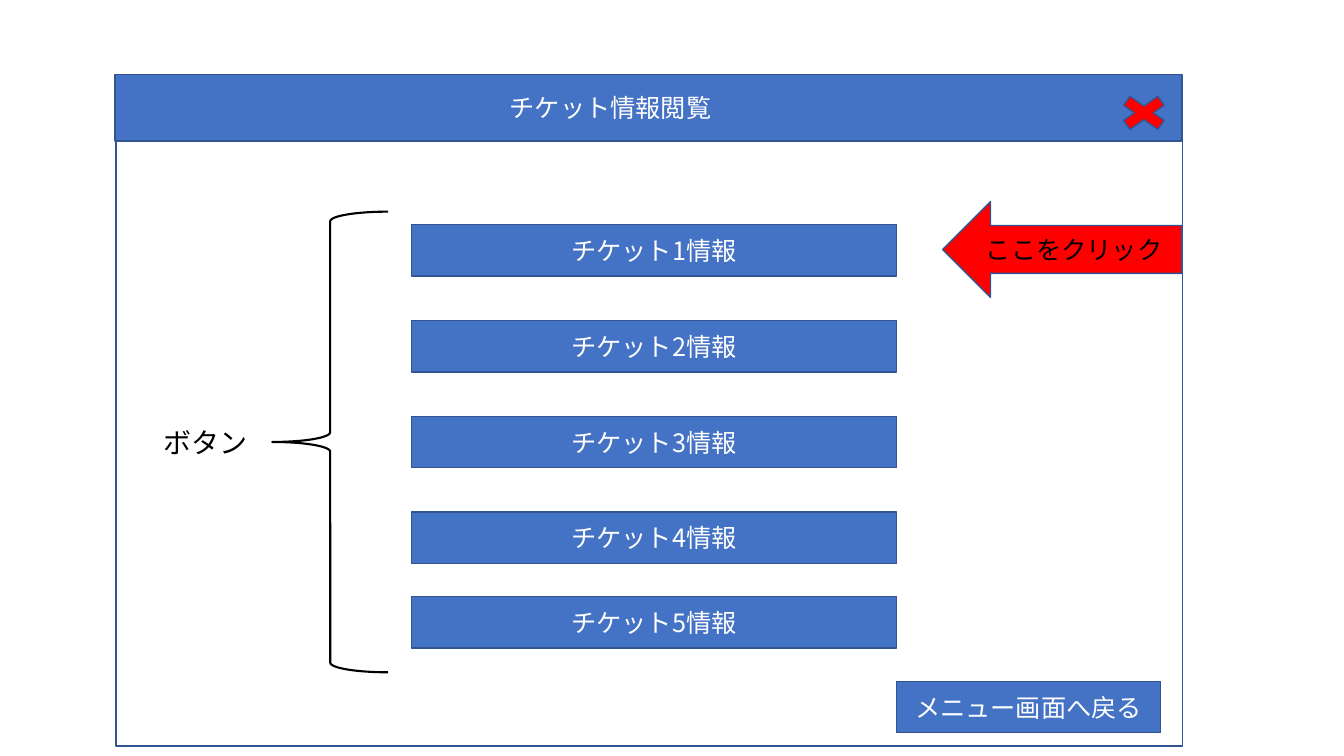
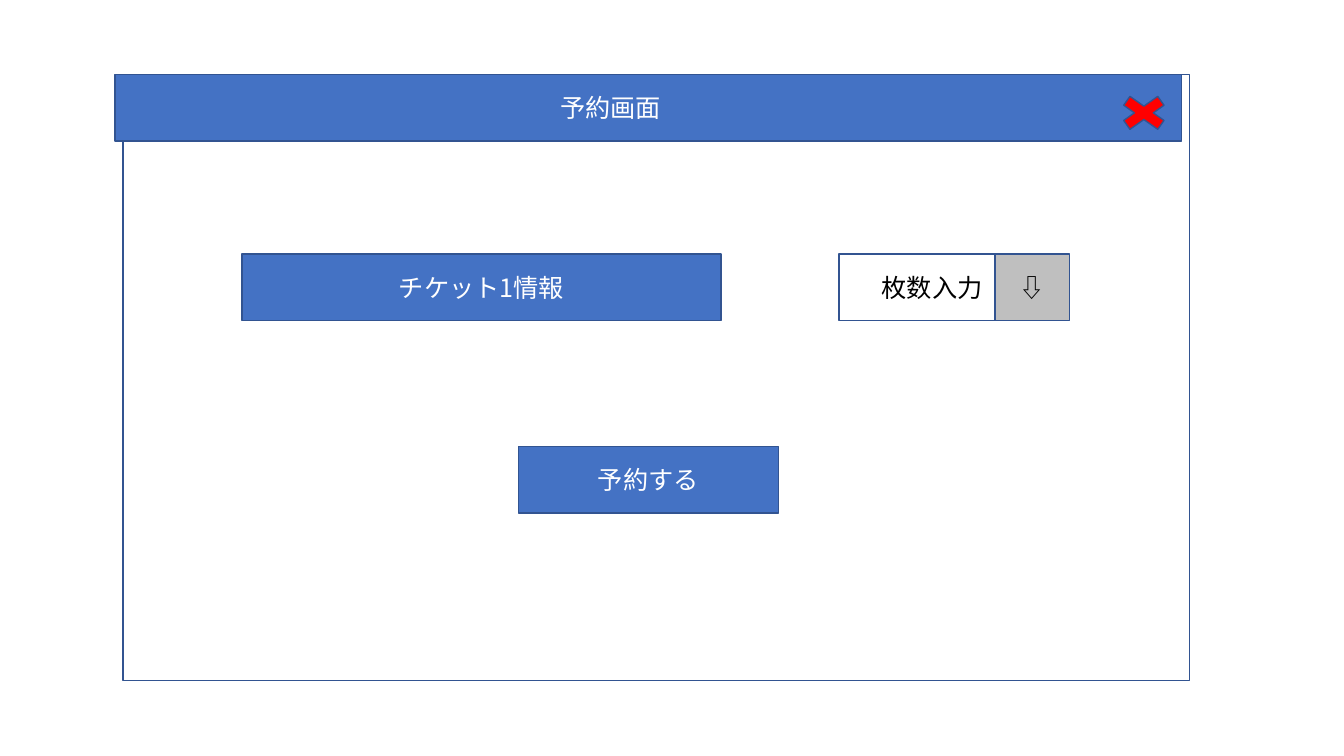
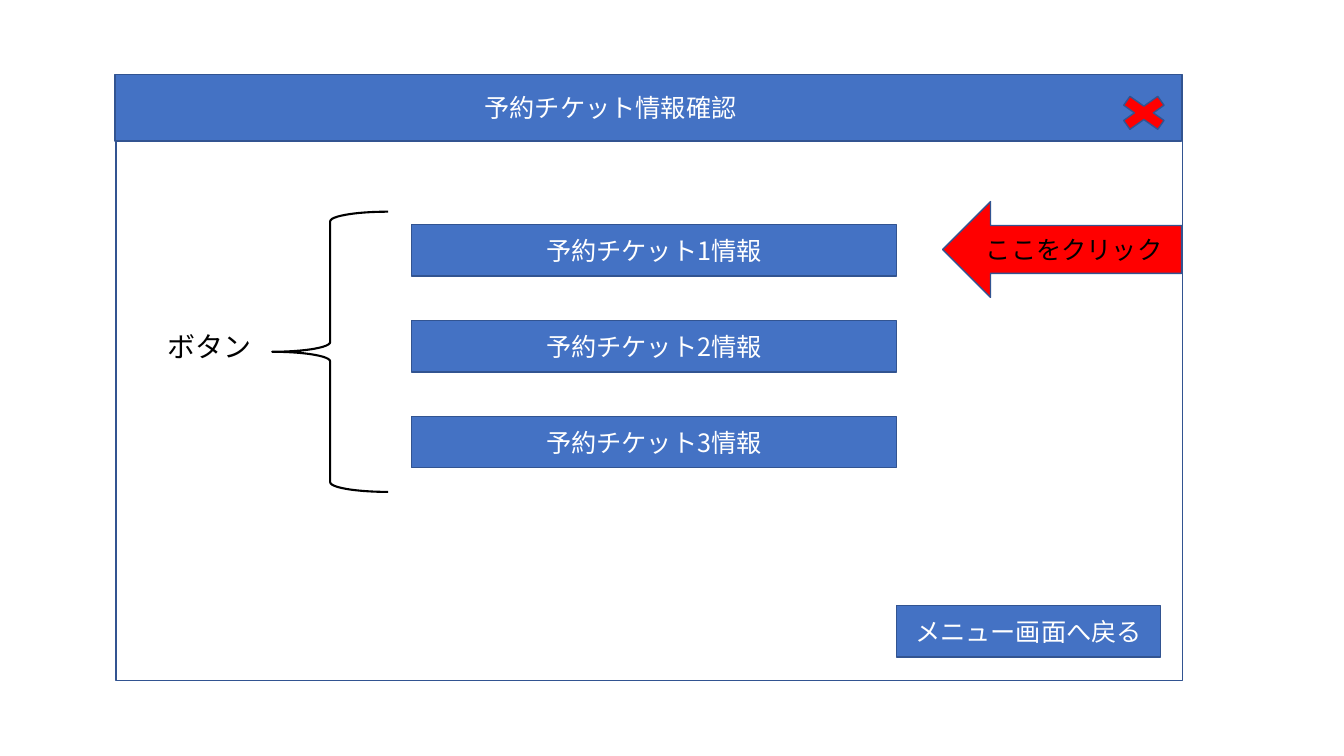
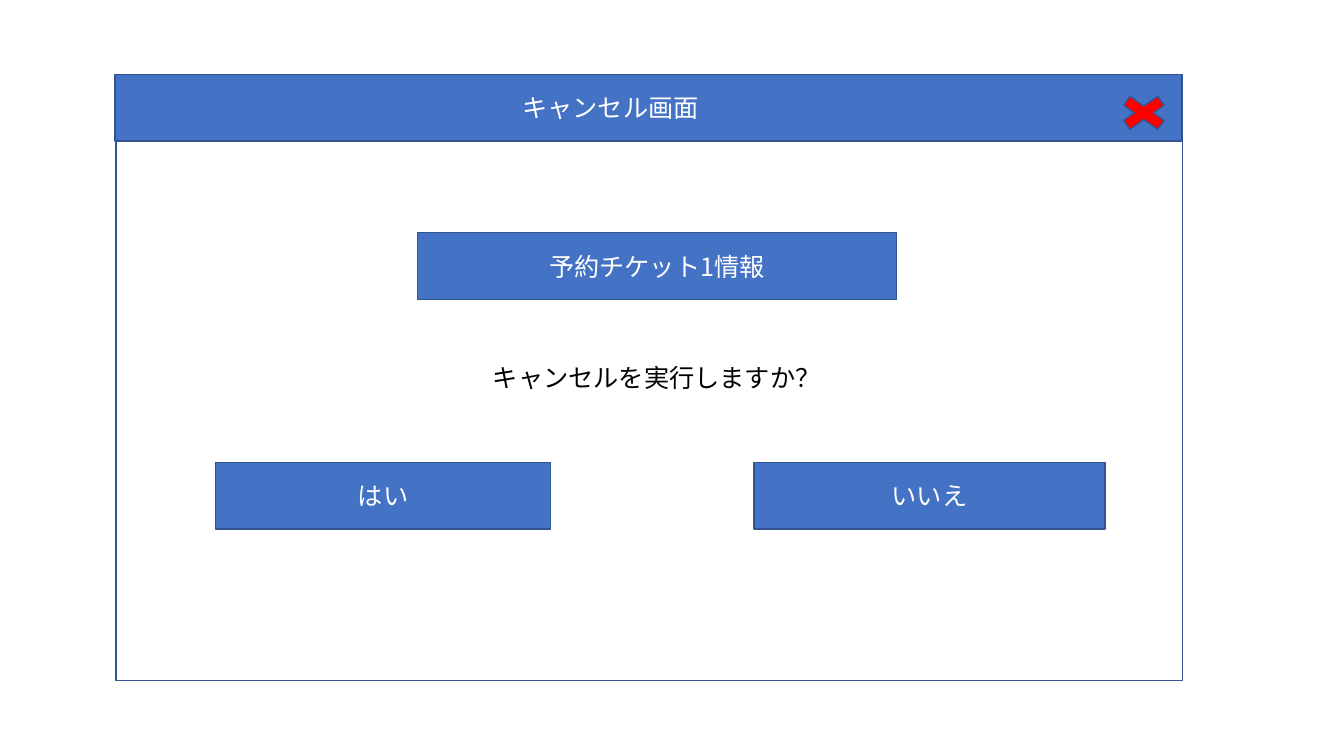
from dataclasses import dataclass
from typing import Optional

from lxml.etree import SubElement
from pptx import Presentation
from pptx.dml.color import RGBColor
from pptx.enum.shapes import MSO_SHAPE as Preset
from pptx.enum.text import MSO_ANCHOR as Anchor, MSO_AUTO_SIZE as AutoSize, PP_ALIGN as Align
from pptx.oxml.ns import qn
from pptx.slide import Slide
from pptx.text.text import TextFrame
from pptx.util import Inches, Pt

BLUE = RGBColor(0x44, 0x72, 0xC4)
NAVY = RGBColor(0x32, 0x54, 0x91)
RED = RGBColor(0xFF, 0x00, 0x00)
GRAY = RGBColor(0xBF, 0xBF, 0xBF)
WHITE = RGBColor(0xFF, 0xFF, 0xFF)
BLACK = RGBColor(0x00, 0x00, 0x00)
FONT = "Noto Sans CJK JP"

BUTTON_HEIGHT = 0.66
ROW_HEIGHT = 0.51
ROW_TOP = 2.23
ROW_PITCH = 0.95
BRACE_TOP = 2.1


@dataclass(frozen=True)
class Box:
    left: float
    top: float
    width: float
    height: float

    def lengths(self) -> tuple[Inches, ...]:
        return tuple(Inches(n) for n in (self.left, self.top, self.width, self.height))


@dataclass(frozen=True)
class Part:
    box: Box
    text: str = ""
    fill: Optional[RGBColor] = BLUE
    color: RGBColor = WHITE
    preset: Preset = Preset.RECTANGLE
    line: RGBColor = NAVY
    line_width: float = 1
    margin_right: float = 0.1


@dataclass(frozen=True)
class TicketList:
    title: str
    ticket: str
    row_tops: tuple[float, ...]
    frame_height: float
    brace_height: float
    caption: Box
    menu_top: float


def write(frame: TextFrame, text: str, color: RGBColor, size: float, align: Align) -> None:
    paragraph = frame.paragraphs[0]
    paragraph.alignment = align
    run = paragraph.add_run()
    run.text = text
    for name, value in {"name": FONT, "size": Pt(size)}.items():
        setattr(run.font, name, value)
    run.font.color.rgb = color
    SubElement(run.font._element, qn("a:ea"), typeface=FONT)


def draw(slide: Slide, part: Part) -> None:
    shape = slide.shapes.add_shape(part.preset, *part.box.lengths())
    shape.shadow.inherit = False
    if part.fill is None:
        shape.fill.background()
    else:
        shape.fill.solid()
        shape.fill.fore_color.rgb = part.fill
    shape.line.color.rgb = part.line
    shape.line.width = Pt(part.line_width)
    if part.text:
        layout = {
            "word_wrap": True,
            "vertical_anchor": Anchor.MIDDLE,
            "margin_right": Inches(part.margin_right),
        }
        for name, value in layout.items():
            setattr(shape.text_frame, name, value)
        write(shape.text_frame, part.text, part.color, 18, Align.CENTER)


def label(slide: Slide, box: Box, text: str, size: float) -> None:
    frame = slide.shapes.add_textbox(*box.lengths()).text_frame
    for name, value in {"word_wrap": True, "auto_size": AutoSize.SHAPE_TO_FIT_TEXT}.items():
        setattr(frame, name, value)
    write(frame, text, BLACK, size, Align.LEFT)


def add_window(deck: Presentation, title: str, left: float = 1.15, height: float = 6.01) -> Slide:
    slide = deck.slides.add_slide(deck.slide_layouts[6])
    draw(slide, Part(Box(left, 0.74, 10.58, height), fill=WHITE))
    draw(slide, Part(Box(1.14, 0.74, 10.58, 0.66), title, margin_right=0.85))
    draw(slide, Part(Box(11.02, 0.89, 0.65, 0.46), fill=RED, preset=Preset.MATH_MULTIPLY))
    return slide


def add_ticket_list(deck: Presentation, screen: TicketList) -> None:
    slide = add_window(deck, screen.title, height=screen.frame_height)
    for number, top in enumerate(screen.row_tops, 1):
        draw(slide, Part(Box(4.08, top, 4.81, ROW_HEIGHT), f"{screen.ticket}{number}情報"))
    draw(slide, Part(Box(9.35, 2, 2.37, 0.95), "ここをクリック", RED, BLACK, Preset.LEFT_ARROW))
    draw(slide, Part(Box(2.7, BRACE_TOP, 1.15, screen.brace_height), fill=None,
                     preset=Preset.LEFT_BRACE, line=BLACK, line_width=1.5))
    label(slide, screen.caption, "ボタン", 20)
    draw(slide, Part(Box(8.89, screen.menu_top, 2.62, ROW_HEIGHT), "メニュー画面へ戻る"))


def add_booking(deck: Presentation) -> None:
    slide = add_window(deck, "予約画面", left=1.22)
    for part in (
        Part(Box(2.4, 2.52, 4.75, BUTTON_HEIGHT), "チケット1情報"),
        Part(Box(8.32, 2.52, 1.85, BUTTON_HEIGHT), "枚数入力", WHITE, BLACK),
        Part(Box(9.87, 2.52, 0.74, BUTTON_HEIGHT), "⇩", GRAY, BLACK),
        Part(Box(5.14, 4.43, 2.58, BUTTON_HEIGHT), "予約する"),
    ):
        draw(slide, part)


def add_cancellation(deck: Presentation) -> None:
    slide = add_window(deck, "キャンセル画面")
    for part in (
        Part(Box(4.14, 2.31, 4.75, BUTTON_HEIGHT), "予約チケット1情報"),
        Part(Box(2.14, 4.59, 3.32, BUTTON_HEIGHT), "はい"),
        Part(Box(7.48, 4.59, 3.48, BUTTON_HEIGHT), "いいえ"),
    ):
        draw(slide, part)
    label(slide, Box(4.79, 3.55, 3.83, 0.4), "キャンセルを実行しますか？", 18)


def main() -> None:
    deck = Presentation()
    deck.slide_width, deck.slide_height = Inches(13.33), Inches(7.5)
    even_tops = tuple(ROW_TOP + ROW_PITCH * row for row in range(4))
    add_ticket_list(deck, TicketList(
        "チケット情報閲覧", "チケット", (*even_tops, 5.92), 6.66, 4.57,
        Box(1.52, 4.17, 1.15, 0.44), 6.76))
    add_booking(deck)
    add_ticket_list(deck, TicketList(
        "予約チケット情報確認", "予約チケット", even_tops[:3], 6.01, 2.78,
        Box(1.56, 3.22, 1.15, 0.44), 6.01))
    add_cancellation(deck)
    deck.save("out.pptx")


if __name__ == "__main__":
    main()
